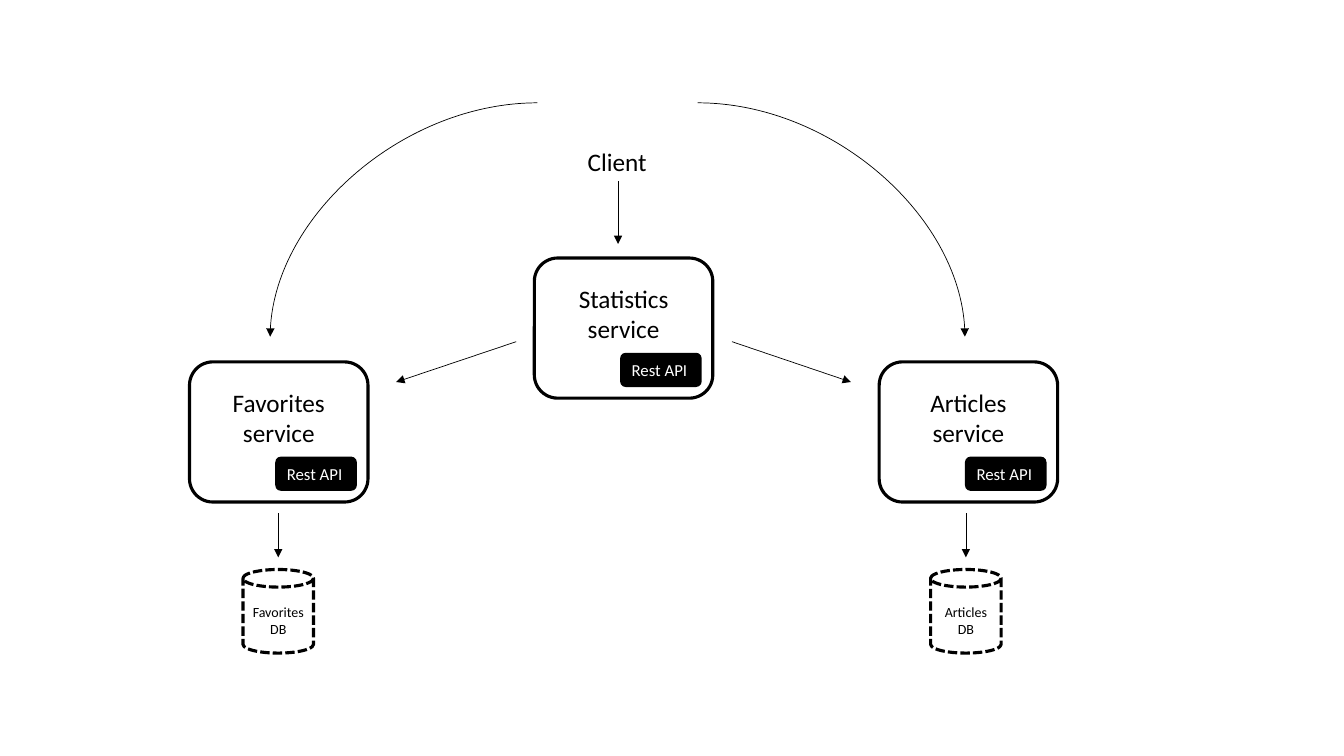
from dataclasses import dataclass

from lxml import etree
from pptx import Presentation
from pptx import util as u
from pptx.dml.color import RGBColor
from pptx.enum import dml, shapes, text
from pptx.oxml import ns

Inches, Pt = u.Inches, u.Pt


@dataclass(frozen=True)
class Theme:
    font: str = "Calibri"
    ink: RGBColor = RGBColor(0, 0, 0)
    paper: RGBColor = RGBColor(255, 255, 255)
    label: int = 18
    badge: int = 12
    store: int = 10
    outline: float = 2.25
    arrow: float = 0.5


class Diagram:
    def __init__(self, s, theme):
        self.s, self.theme = s, theme

    def add_lines(self, sp, lines, size, color, align, wrap=True):
        tf = sp.text_frame
        tf.word_wrap = wrap
        for i, line in enumerate(lines):
            p = tf.paragraphs[0] if i == 0 else tf.add_paragraph()
            p.alignment = align
            r = p.add_run()
            r.text = line
            r.font.name, r.font.size = self.theme.font, Pt(size)
            r.font.color.rgb = color

    def label(self, parent, box, lines, size, wrap=True,
              align=text.PP_ALIGN.CENTER):
        sp = parent.shapes.add_textbox(*map(Inches, box))
        self.add_lines(sp, lines, size, self.theme.ink, align, wrap)

    def shape(self, parent, kind, box):
        sp = parent.shapes.add_shape(kind, *map(Inches, box))
        sp.shadow.inherit = False
        return sp

    def outline(self, parent, kind, box):
        sp = self.shape(parent, kind, box)
        sp.fill.background()
        sp.line.color.rgb = self.theme.ink
        sp.line.width = Pt(self.theme.outline)
        return sp

    def badge(self, parent, box, caption):
        sp = self.shape(parent, shapes.MSO_SHAPE.ROUNDED_RECTANGLE, box)
        sp.fill.solid()
        sp.fill.fore_color.rgb = self.theme.ink
        sp.line.fill.background()
        sp.text_frame.vertical_anchor = text.MSO_ANCHOR.MIDDLE
        self.add_lines(sp, [caption], self.theme.badge, self.theme.paper,
                       text.PP_ALIGN.LEFT)

    def service(self, x, y, name):
        g = self.s.shapes.add_group_shape()
        self.outline(g, shapes.MSO_SHAPE.ROUNDED_RECTANGLE, (x, y, 1.77, 1.39))
        self.label(g, (x + 0.29, y + 0.2, 1.19, 0.71), [name, "service"],
                   self.theme.label)
        self.badge(g, (x + 0.85, y + 0.94, 0.81, 0.34), "Rest API")

    def database(self, center, y, name):
        g = self.s.shapes.add_group_shape()
        can = self.outline(g, shapes.MSO_SHAPE.CAN, (center - 0.35, y, 0.7, 0.83))
        can.line.dash_style = dml.MSO_LINE.SQUARE_DOT
        self.label(g, (center - 0.36, y + 0.29, 0.72, 0.44), [name, "DB"],
                   self.theme.store, wrap=False)

    def arrow(self, start, end, curved=False):
        kind = shapes.MSO_CONNECTOR.CURVE if curved else shapes.MSO_CONNECTOR.STRAIGHT
        c = self.s.shapes.add_connector(kind, *map(Inches, start + end))
        c.line.color.rgb = self.theme.ink
        c.line.width = Pt(self.theme.arrow)
        sppr = c._element.spPr
        if curved:
            sppr.find(ns.qn("a:prstGeom")).set("prst", "curvedConnector2")
        ln = sppr.find(ns.qn("a:ln"))
        etree.SubElement(ln, ns.qn("a:tailEnd"), type="triangle")
        etree.SubElement(sppr, ns.qn("a:effectLst"))


prs = Presentation()
prs.slide_width, prs.slide_height = Inches(13.33), Inches(7.5)
theme = Theme()
d = Diagram(prs.slides.add_slide(prs.slide_layouts[6]), theme)

d.label(d.s, (5.73, 1.4, 0.79, 0.4), ["Client"], theme.label, wrap=False,
        align=text.PP_ALIGN.LEFT)
d.service(5.3, 2.56, "Statistics")
d.arrow((6.13, 1.8), (6.13, 2.42))

branches = [
    ("Favorites", 1.88, 2.76, (5.33, 2.68), (5.12, 3.93)),
    ("Articles", 8.72, 9.58, (6.92, 9.57), (7.26, 8.44)),
]
for name, x, center, (client_x, drop_x), (near_x, far_x) in branches:
    d.service(x, 3.59, name)
    d.database(center, 5.65, name)
    d.arrow((client_x, 1.02), (drop_x, 3.34), curved=True)
    d.arrow((near_x, 3.39), (far_x, 3.79))
    d.arrow((center, 5.09), (center, 5.53))

prs.save("out.pptx")
